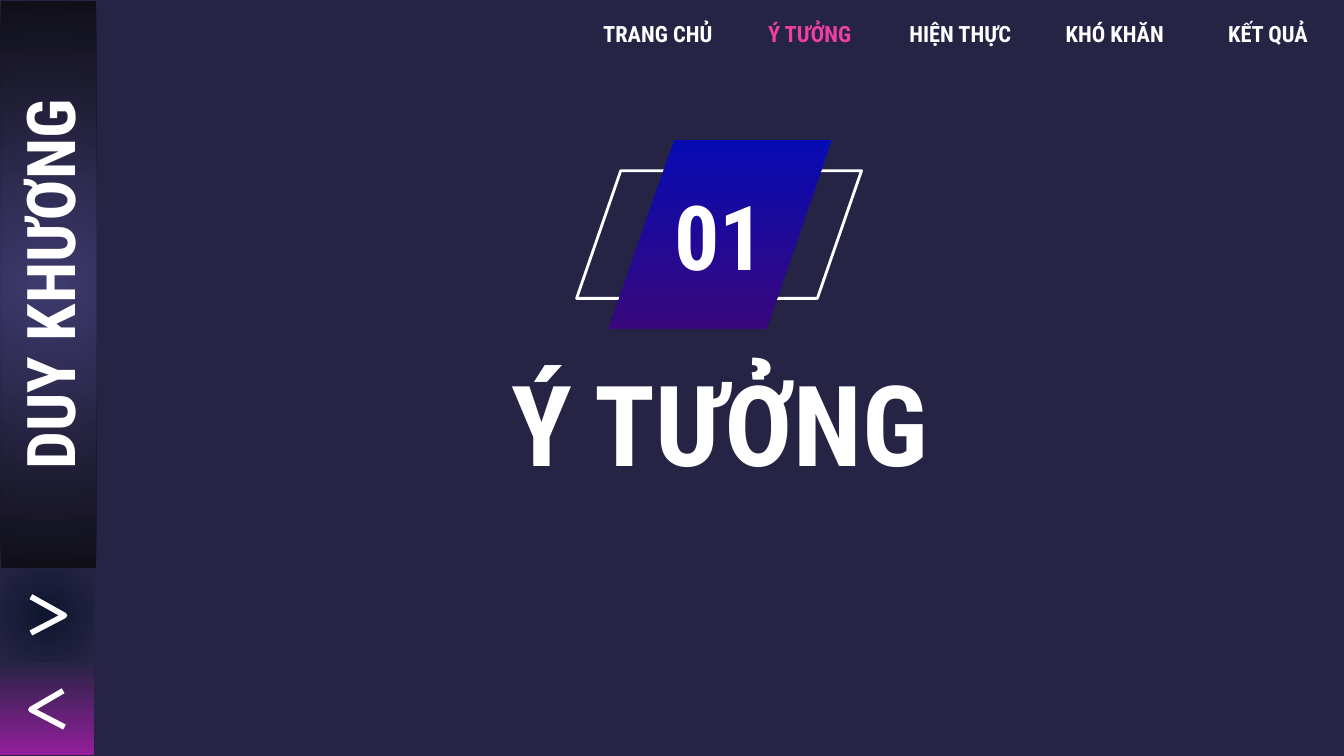
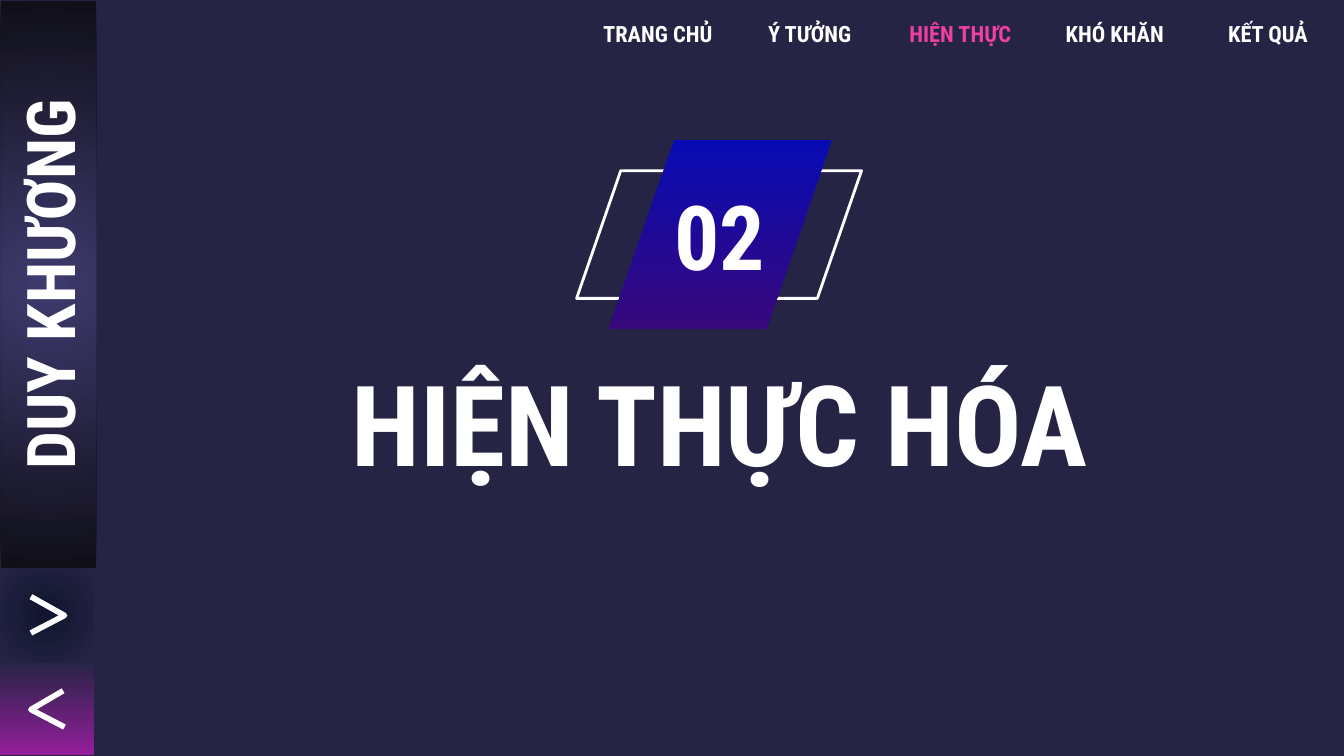
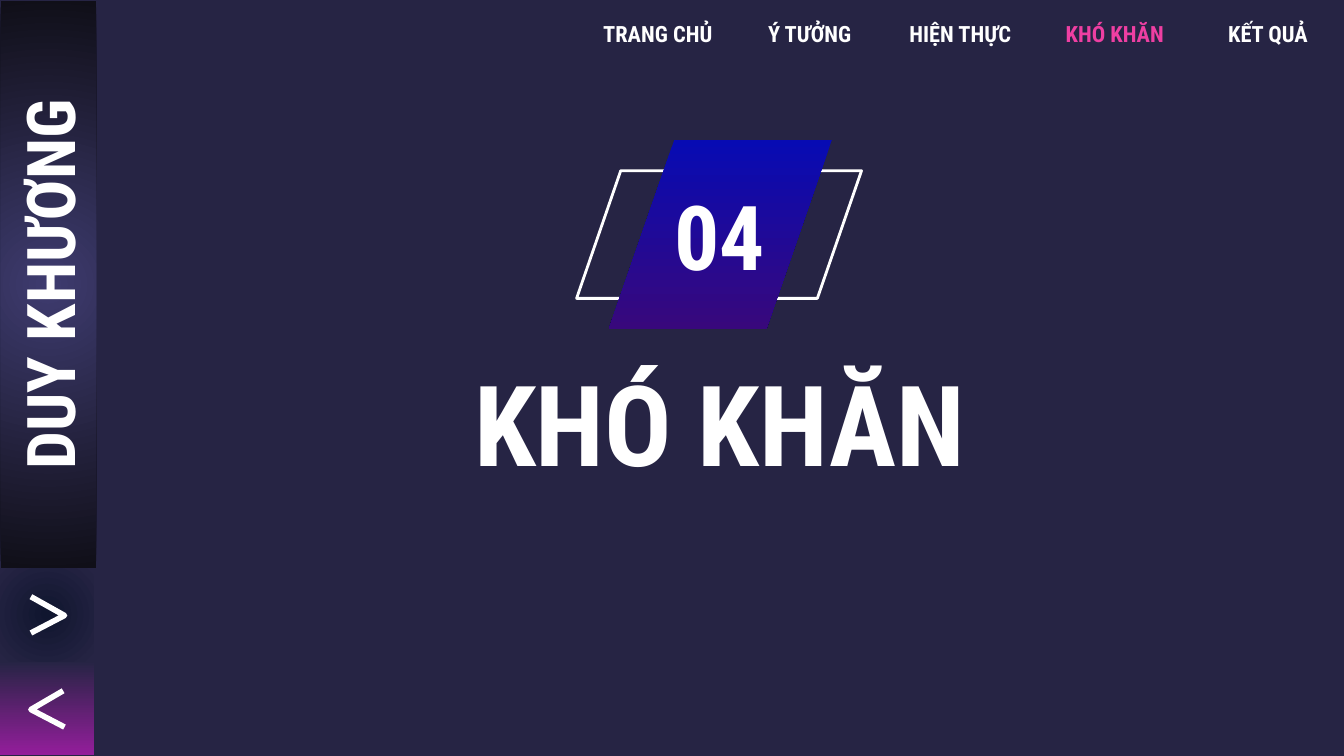
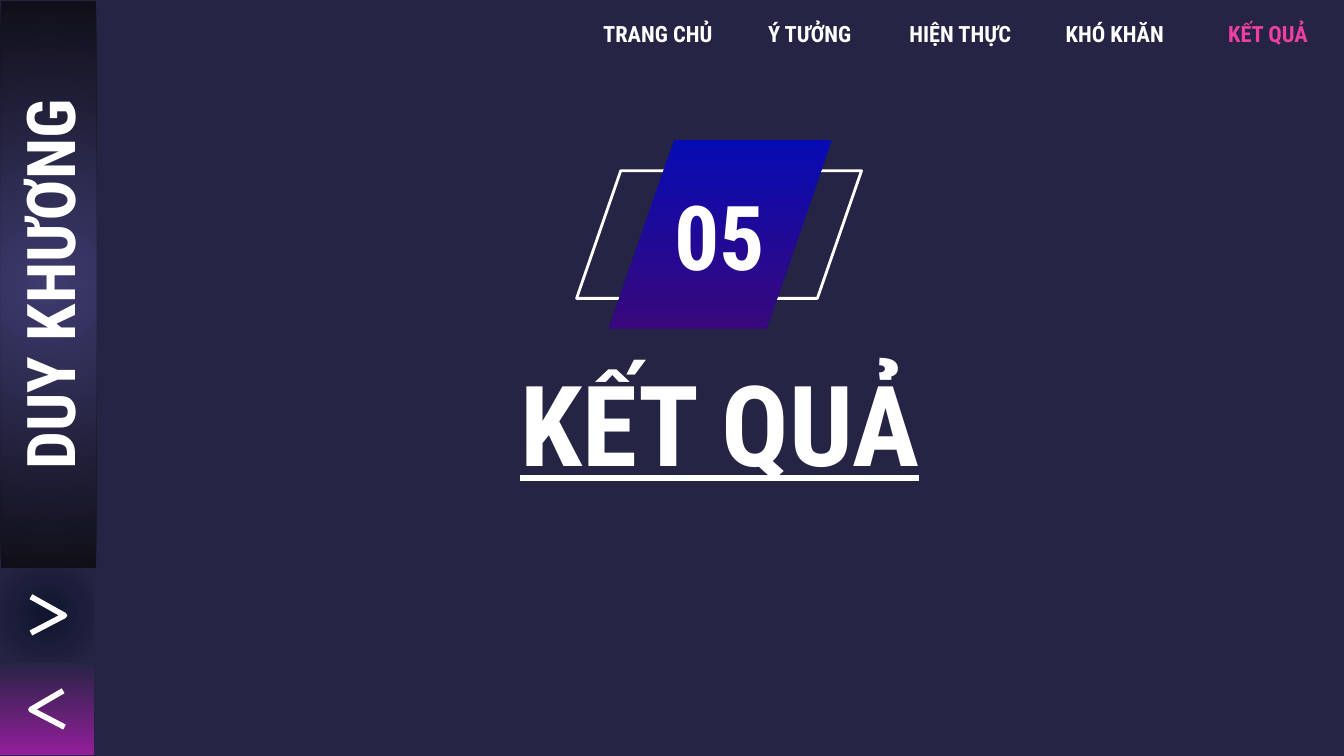
from dataclasses import dataclass
from typing import Any, Optional

import pptx
import pptx.dml.color
import pptx.enum.shapes
import pptx.enum.text
import pptx.oxml
import pptx.oxml.ns
import pptx.util

RGBColor = pptx.dml.color.RGBColor
Shapes = pptx.enum.shapes.MSO_SHAPE

PX = 9144
PAGE_WIDTH = 1000 * PX
PAGE_HEIGHT = PAGE_WIDTH * 9 // 16
FONT = "Roboto Condensed"
WHITE = RGBColor(0xFF, 0xFF, 0xFF)
PINK = RGBColor(0xEE, 0x3F, 0xA2)
NIGHT = RGBColor(0x26, 0x24, 0x44)
BLUE = RGBColor(0x07, 0x0B, 0xB3)
VIOLET = RGBColor(0x38, 0x08, 0x7C)
MAGENTA = RGBColor(0x93, 0x1E, 0x9B)
NAVY = RGBColor(0x10, 0x16, 0x2F)
INDIGO = RGBColor(0x3E, 0x3B, 0x6F)
BLACK = RGBColor(0x10, 0x0F, 0x18)

FRAME_FORMAT = {
    "word_wrap": True,
    "auto_size": pptx.enum.text.MSO_AUTO_SIZE.NONE,
    "vertical_anchor": pptx.enum.text.MSO_ANCHOR.MIDDLE,
    "margin_left": 10 * PX,
    "margin_top": 10 * PX,
    "margin_right": 10 * PX,
    "margin_bottom": 10 * PX,
}
CIRCLE_PATH = (
    f'<a:path {pptx.oxml.ns.nsdecls("a")} path="circle">'
    '<a:fillToRect l="50000" t="50000" r="50000" b="50000"/></a:path>'
)


@dataclass(frozen=True)
class Area:
    left: int
    top: int
    width: int
    height: int

    def emu(self) -> list[int]:
        return [value * PX for value in (self.left, self.top, self.width, self.height)]


@dataclass(frozen=True)
class Gradient:
    first: RGBColor
    last: RGBColor
    circular: bool = False


@dataclass(frozen=True)
class Panel:
    preset: Any
    area: Area
    gradient: Optional[Gradient] = None
    outline: Optional[float] = None
    rotation: int = 0
    label: str = ""


@dataclass(frozen=True)
class Section:
    number: str
    title: str
    active: int
    underline: bool = False


TITLE_AREA = Area(149, 268, 773, 92)
NUMBER_AREA = Area(363, 145, 345, 59)
SLANT = 0.346
BADGE = [
    Panel(Shapes.PARALLELOGRAM, Area(429, 127, 212, 95), outline=1.5),
    Panel(Shapes.PARALLELOGRAM, Area(453, 104, 166, 141), Gradient(BLUE, VIOLET)),
]
SIDEBAR = [
    Panel(Shapes.RECTANGLE, Area(0, 492, 70, 70), Gradient(NIGHT, MAGENTA)),
    Panel(Shapes.RECTANGLE, Area(0, 422, 70, 70), Gradient(NAVY, NIGHT, True)),
    Panel(Shapes.RECTANGLE, Area(-175, 176, 422, 71), Gradient(INDIGO, BLACK, True),
          rotation=270, label="DUY KHƯƠNG"),
]
CHEVRONS = [
    [(23, 444), (48, 458), (23, 471)],
    [(47, 514), (23, 528), (48, 541)],
]
MENU = ["TRANG CHỦ", "Ý TƯỞNG", "HIỆN THỰC ", "KHÓ KHĂN", "KẾT QUẢ"]
SECTIONS = [
    Section("01", "Ý TƯỞNG", 1),
    Section("02", "HIỆN THỰC HÓA", 2),
    Section("04", "KHÓ KHĂN", 3),
    Section("05", "KẾT QUẢ", 4, underline=True),
]


def assign(target: Any, values: dict[str, Any]) -> None:
    for name, value in values.items():
        setattr(target, name, value)


def write(box: Any, text: str, size: int, color: RGBColor = WHITE,
          underline: Optional[bool] = None) -> None:
    assign(box.text_frame, FRAME_FORMAT)
    para = box.text_frame.paragraphs[0]
    para.alignment = pptx.enum.text.PP_ALIGN.CENTER
    span = para.add_run()
    span.text = text
    assign(span.font, {"name": FONT, "size": pptx.util.Pt(size), "bold": True,
                       "underline": underline})
    span.font.color.rgb = color


def add_text(page: Any, area: Area, text: str, size: int, color: RGBColor = WHITE) -> None:
    write(page.shapes.add_textbox(*area.emu()), text, size, color)


def paint(shape: Any, gradient: Gradient) -> None:
    shape.fill.gradient()
    for stop, color in zip(shape.fill.gradient_stops, (gradient.first, gradient.last)):
        stop.color.rgb = color
    shape.fill.gradient_angle = 270
    if gradient.circular:
        linear = shape.fill._xPr.find(".//" + pptx.oxml.ns.qn("a:lin"))
        linear.getparent().replace(linear, pptx.oxml.parse_xml(CIRCLE_PATH))


def draw_outline(shape: Any, width: float) -> None:
    shape.fill.background()
    shape.line.color.rgb = WHITE
    shape.line.width = pptx.util.Pt(width)


def add_panel(page: Any, panel: Panel) -> None:
    shape = page.shapes.add_shape(panel.preset, *panel.area.emu())
    shape.shadow.inherit = False
    shape.rotation = panel.rotation
    if panel.preset == Shapes.PARALLELOGRAM:
        shape.adjustments[0] = SLANT
    if panel.gradient:
        paint(shape, panel.gradient)
        shape.line.fill.background()
    if panel.outline:
        draw_outline(shape, panel.outline)
    if panel.label:
        write(shape, panel.label, 36)


def add_chevron(page: Any, points: list[tuple[int, int]]) -> None:
    builder = page.shapes.build_freeform(*points[0], scale=PX)
    builder.add_line_segments(points[1:], close=False)
    shape = builder.convert_to_shape()
    shape.shadow.inherit = False
    draw_outline(shape, 3)


def add_menu(page: Any, active: int) -> None:
    for index, label in enumerate(MENU):
        area = Area(433 + index * 227 // 2, 7, 113, 36)
        add_text(page, area, label, 12, PINK if index == active else WHITE)


def add_section(deck: Any, section: Section) -> None:
    page = deck.slides.add_slide(deck.slide_layouts[5])
    page.background.fill.solid()
    page.background.fill.fore_color.rgb = NIGHT
    title = page.shapes.title
    assign(title, dict(zip(("left", "top", "width", "height"), TITLE_AREA.emu())))
    write(title, section.title, 60, underline=section.underline or None)
    for panel in BADGE:
        add_panel(page, panel)
    add_text(page, NUMBER_AREA, section.number, 48)
    for panel in SIDEBAR:
        add_panel(page, panel)
    for points in CHEVRONS:
        add_chevron(page, points)
    add_menu(page, section.active)


def main() -> None:
    deck = pptx.Presentation()
    assign(deck, {"slide_width": PAGE_WIDTH, "slide_height": PAGE_HEIGHT})
    for section in SECTIONS:
        add_section(deck, section)
    deck.save("out.pptx")


if __name__ == "__main__":
    main()
